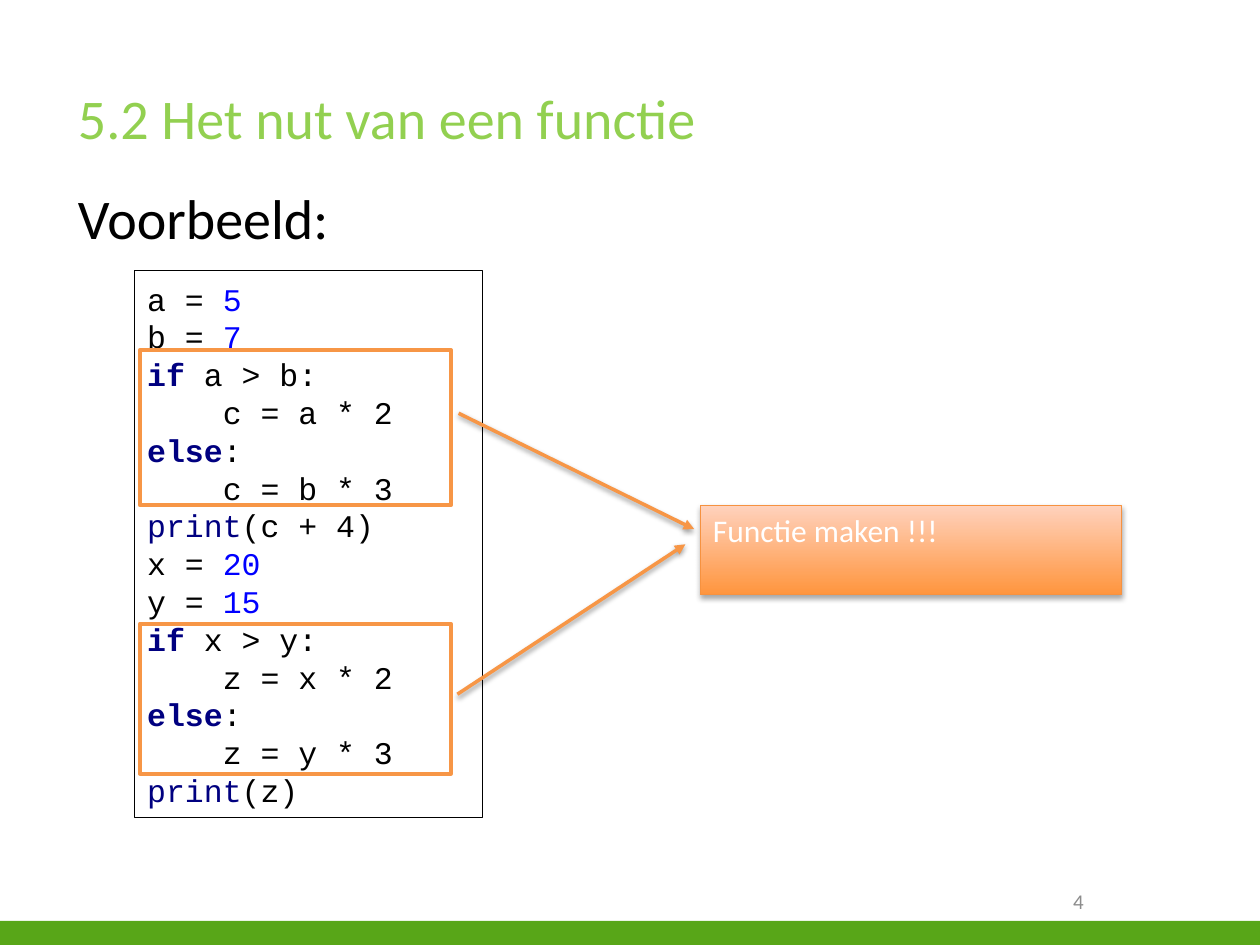
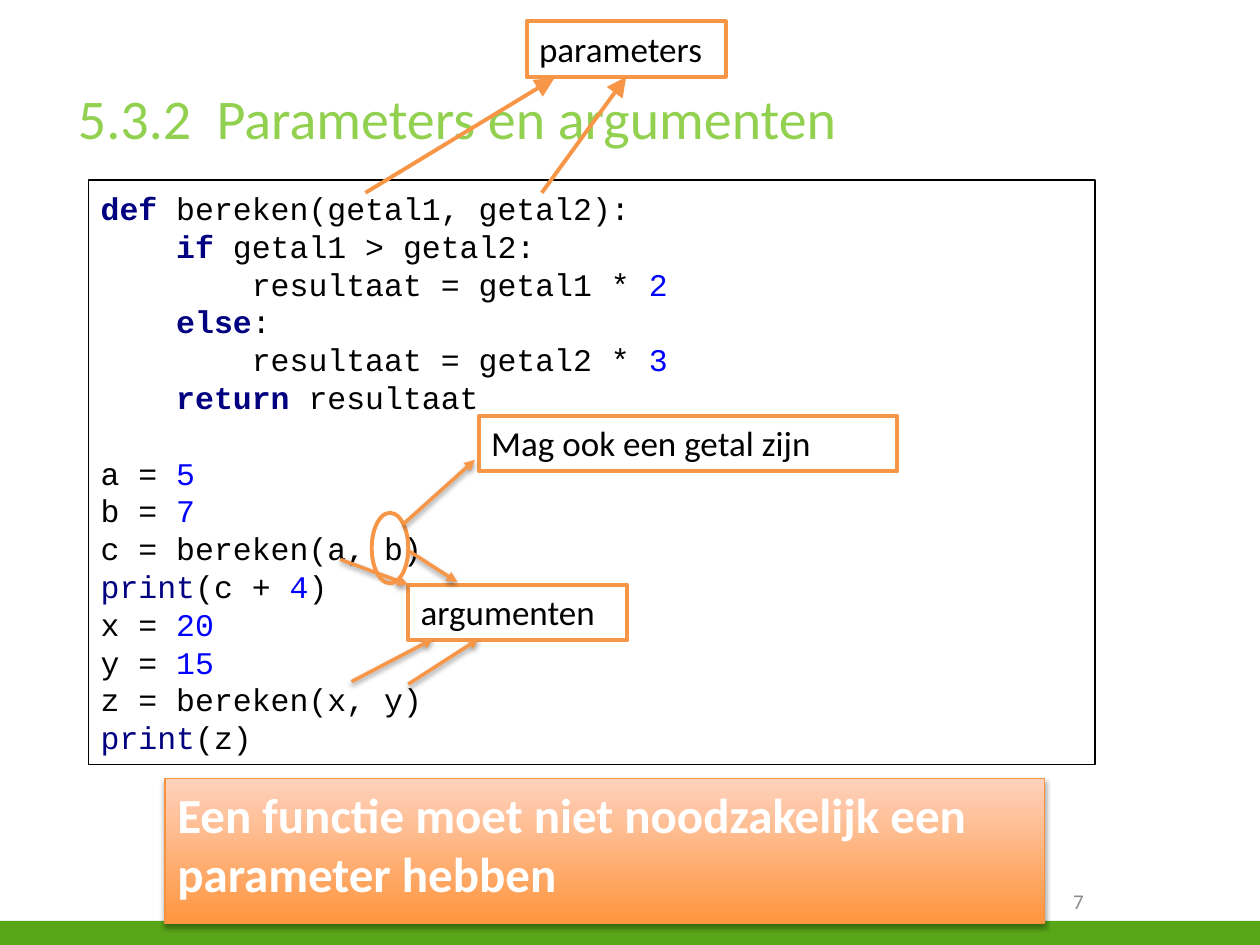
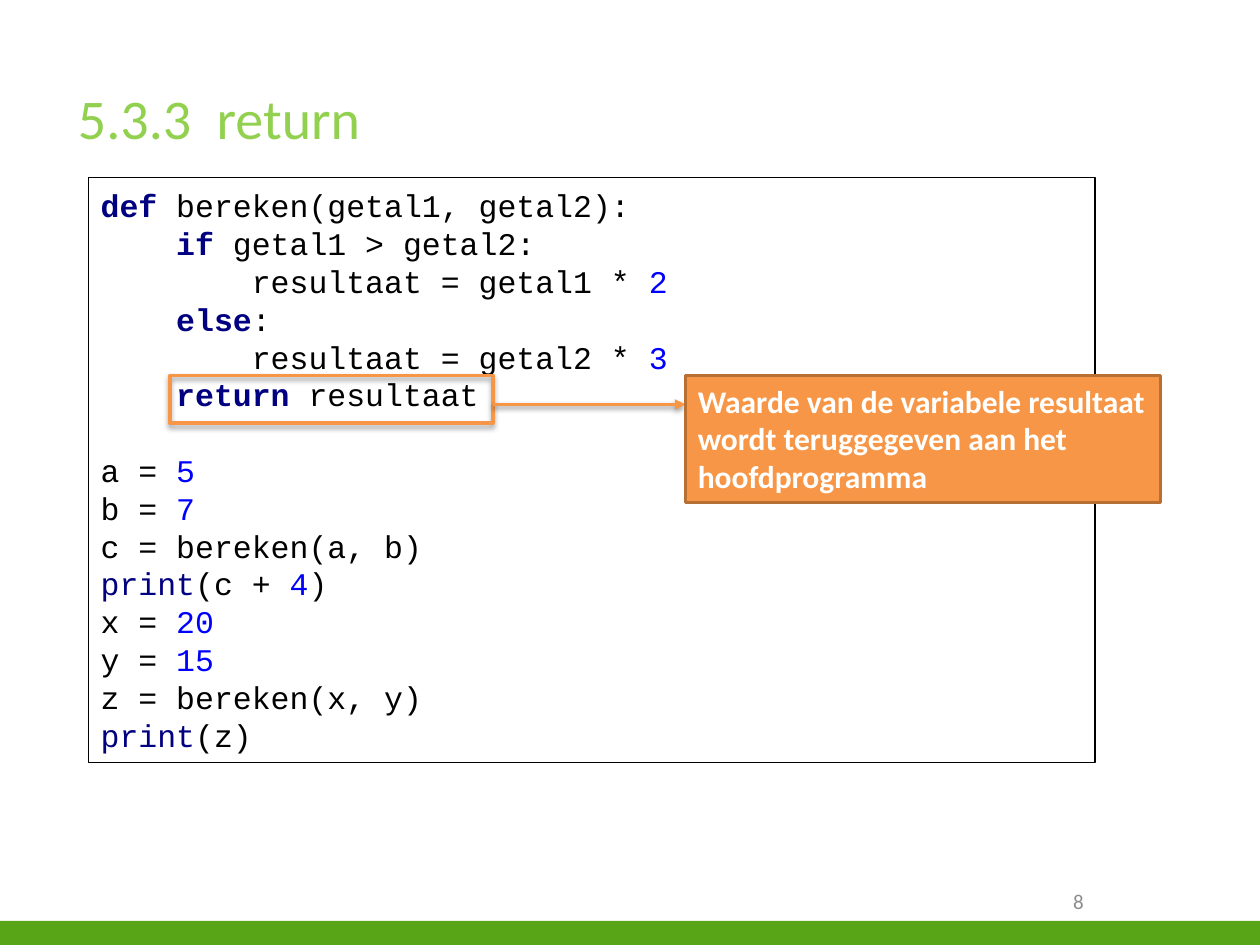
import dataclasses
import typing

import lxml.etree
import pptx
import pptx.dml.color
import pptx.enum.shapes
import pptx.enum.text
import pptx.oxml.ns
import pptx.util

Shapes = pptx.enum.shapes.MSO_SHAPE
Anchor = pptx.enum.text.MSO_ANCHOR
Align = pptx.enum.text.PP_ALIGN


@dataclasses.dataclass(frozen=True)
class Theme:
    sans: str = "Calibri"
    mono: str = "Courier New"
    black: str = "000000"
    white: str = "FFFFFF"
    band: str = "58A618"
    title: str = "92D050"
    page: str = "8C8C8C"
    accent: str = "F79646"
    accent_edge: str = "B76F34"
    banner_edge: str = "F69240"
    banner_stops: tuple[str, str] = ("FF953E", "FFD2BD")
    keyword: str = "000080"
    number: str = "0000FF"
    heading_size: float = 32
    banner_size: float = 28
    label_size: float = 20
    body_size: float = 18
    page_size: float = 12
    code_pitch: float = 21.6
    code_indent: float = 43.2
    thin: float = 0.75
    arrow: float = 2
    frame: float = 2.25


THEME = Theme()
COLUMNS, ROWS = 100, 75
WIDTH, HEIGHT = pptx.util.Inches(10), pptx.util.Inches(7.5)


class Box(typing.NamedTuple):
    """A place on the grid: left column, top row, columns wide, rows high."""
    col: float
    row: float
    cols: float
    rows: float


class Style(typing.NamedTuple):
    fill: str | tuple[str, str] | None = None
    edge: str | None = None
    weight: float = 0
    shadow: bool = False


class Font(typing.NamedTuple):
    size: float
    color: str = THEME.black
    bold: bool = False
    name: str = THEME.sans


class Arrow(typing.NamedTuple):
    """A line between two grid points; a bold one is flat with a large head."""
    col: float
    row: float
    end_col: float
    end_row: float
    bold: bool = False


BAND = Style(THEME.band)
CODE = Style(THEME.white, THEME.black, THEME.thin)
FRAME = Style(None, THEME.accent, THEME.frame)
RAISED_FRAME = FRAME._replace(shadow=True)
LABEL = FRAME._replace(fill=THEME.white)
BANNER = Style(THEME.banner_stops, THEME.banner_edge, THEME.thin, True)
NOTE = Style(THEME.accent, THEME.accent_edge, THEME.arrow)

HEADING_FONT = Font(THEME.heading_size, THEME.title)
BODY_FONT = Font(THEME.heading_size)
LABEL_FONT = Font(THEME.label_size)
PAGE_FONT = Font(THEME.page_size, THEME.page)
CODE_FONT = Font(THEME.body_size, name=THEME.mono)
CODE_MARKS = {
    "!": CODE_FONT._replace(color=THEME.keyword, bold=True),
    "@": CODE_FONT._replace(color=THEME.keyword),
    "#": CODE_FONT._replace(color=THEME.number),
}

# Runs are parted by "|"; a leading mark from CODE_MARKS gives the run its font.
REPEATED_CODE = """\
a = |#5
b = |#7
|!if| a > b:
    c = a * 2
|!else|:
    c = b * 3
|@print|(c + 4)
x = |#20
y = |#15
|!if| x > y:
    z = x * 2
|!else|:
    z = y * 3
|@print|(z)"""

FUNCTION_CODE = """\
|!def| bereken(getal1, getal2):
    |!if| getal1 > getal2:
        resultaat = getal1 * |#2
    |!else|:
        resultaat = getal2 * |#3
    |!return| resultaat

a = |#5
b = |#7
c = bereken(a, b)
|@print|(c + |#4|)
x = |#20
y = |#15
z = bereken(x, y)
|@print|(z)"""


def rgb(color: str) -> pptx.dml.color.RGBColor:
    return pptx.dml.color.RGBColor.from_string(color)


def x(col: float) -> int:
    return round(WIDTH * col / COLUMNS)


def y(row: float) -> int:
    return round(HEIGHT * row / ROWS)


def place(box: Box) -> tuple[int, int, int, int]:
    return x(box.col), y(box.row), x(box.cols), y(box.rows)


def add_effects(properties, shadow: bool, distance: float, opacity: int) -> None:
    """Set the effect list, empty or with a soft shadow straight below."""
    tag = pptx.oxml.ns.qn
    effects = properties.find(tag("a:effectLst"))
    if effects is None:
        effects = lxml.etree.SubElement(properties, tag("a:effectLst"))
    if shadow:
        outer = lxml.etree.SubElement(
            effects, tag("a:outerShdw"), blurRad=str(pptx.util.Pt(3.1)),
            dist=str(pptx.util.Pt(distance)), dir="5400000", rotWithShape="0")
        color = lxml.etree.SubElement(outer, tag("a:srgbClr"), val=THEME.black)
        lxml.etree.SubElement(color, tag("a:alpha"), val=str(opacity * 1000))


def add_box(slide, box: Box, style: Style, kind=Shapes.RECTANGLE):
    shape = slide.shapes.add_shape(kind, *place(box))
    if style.fill is None:
        shape.fill.background()
    elif isinstance(style.fill, tuple):
        shape.fill.gradient()
        shape.fill.gradient_angle = 90
        for stop, color in zip(shape.fill.gradient_stops, style.fill):
            stop.color.rgb = rgb(color)
    else:
        shape.fill.solid()
        shape.fill.fore_color.rgb = rgb(style.fill)
    if style.edge is None:
        shape.line.fill.background()
    else:
        shape.line.color.rgb = rgb(style.edge)
        shape.line.width = pptx.util.Pt(style.weight)
    shape.shadow.inherit = False
    add_effects(shape._element.spPr, style.shadow, 1.8, 35)
    return shape


def add_run(paragraph, text: str, font: Font) -> None:
    run = paragraph.add_run()
    run.text = text
    run.font.name = font.name
    run.font.size = pptx.util.Pt(font.size)
    run.font.bold = font.bold
    run.font.color.rgb = rgb(font.color)


def write(shape, text: str, font: Font, align=Align.LEFT, anchor=Anchor.TOP) -> None:
    frame = shape.text_frame
    frame.word_wrap = True
    frame.vertical_anchor = anchor
    frame.paragraphs[0].alignment = align
    add_run(frame.paragraphs[0], text, font)


def add_text(slide, box: Box, text: str, font: Font, align=Align.LEFT,
             anchor=Anchor.TOP) -> None:
    write(slide.shapes.add_textbox(*place(box)), text, font, align, anchor)


def add_callout(slide, box: Box, style: Style, text: str, font: Font) -> None:
    write(add_box(slide, box, style), text, font)


def add_code(slide, box: Box, code: str) -> None:
    """Write one paragraph per code line; an empty line becomes space before the next."""
    frame = add_box(slide, box, CODE).text_frame
    frame.word_wrap = True
    frame.vertical_anchor = Anchor.MIDDLE
    gap = 0.0
    paragraph = frame.paragraphs[0]
    for index, line in enumerate(code.split("\n")):
        if not line:
            gap += THEME.code_pitch
            continue
        if index:
            paragraph = frame.add_paragraph()
        source = line.lstrip(" ")
        level = (len(line) - len(source)) // 4
        paragraph.alignment = Align.LEFT
        paragraph.line_spacing = pptx.util.Pt(THEME.code_pitch)
        paragraph.space_before = pptx.util.Pt(gap)
        margin = pptx.util.Pt(level * THEME.code_indent)
        paragraph._p.get_or_add_pPr().set("marL", str(margin))
        gap = 0.0
        for part in filter(None, source.split("|")):
            font = CODE_MARKS.get(part[0])
            add_run(paragraph, part[1:] if font else part, font or CODE_FONT)


def add_arrow(slide, arrow: Arrow) -> None:
    line = slide.shapes.add_connector(
        pptx.enum.shapes.MSO_CONNECTOR.STRAIGHT,
        x(arrow.col), y(arrow.row), x(arrow.end_col), y(arrow.end_row))
    line.line.color.rgb = rgb(THEME.accent)
    line.line.width = pptx.util.Pt(THEME.frame if arrow.bold else THEME.arrow)
    size = "lg" if arrow.bold else "med"
    lxml.etree.SubElement(line.line._get_or_add_ln(), pptx.oxml.ns.qn("a:tailEnd"),
                          type="triangle", w=size, len=size)
    add_effects(line._element.spPr, not arrow.bold, 1.6, 38)


def add_page(deck, title: str, number: int):
    """Add a slide with the shared band, page number and title."""
    slide = deck.slides.add_slide(deck.slide_layouts[6])
    add_box(slide, Box(0, 73.1, COLUMNS, 2), BAND)
    add_text(slide, Box(71.7, 69.5, 15.3, 4), str(number), PAGE_FONT,
             Align.RIGHT, Anchor.MIDDLE)
    add_text(slide, Box(5.2, 6.1, 89.8, 16.1), title, HEADING_FONT)
    return slide


def build_usefulness(deck) -> None:
    slide = add_page(deck, "5.2 Het nut van een functie", 4)
    add_text(slide, Box(5.2, 14.1, 89.8, 50.3), "Voorbeeld:", BODY_FONT)
    add_code(slide, Box(10.7, 21.5, 27.6, 43.4), REPEATED_CODE)
    for row, rows in ((27.8, 12.3), (49.5, 11.9)):
        add_box(slide, Box(11.1, row, 24.7, rows), FRAME)
    for arrow in (Arrow(36.4, 32.8, 55.1, 42), Arrow(36.3, 55.1, 54.4, 43.2)):
        add_arrow(slide, arrow)
    add_callout(slide, Box(55.6, 40.1, 33.4, 7.1), BANNER, "Functie maken !!!",
                Font(THEME.body_size, THEME.white))


def build_parameters(deck) -> None:
    slide = add_page(deck, "5.3.2  Parameters en argumenten", 7)
    add_code(slide, Box(7, 14.3, 79.9, 46.4), FUNCTION_CODE)
    add_callout(slide, Box(41.8, 1.7, 15.8, 4.4), LABEL, "parameters", LABEL_FONT)
    for parameter in (Arrow(29, 15.3, 44, 6.2, True), Arrow(43, 15.3, 49.7, 6.1, True)):
        add_arrow(slide, parameter)
    add_callout(slide, Box(32.4, 46.4, 17.4, 4.4), LABEL, "argumenten", LABEL_FONT)
    for argument in (Arrow(27, 44.4, 32.4, 46.4), Arrow(32.4, 43.7, 36.3, 46.2),
                     Arrow(27.9, 54.1, 34.4, 50.7), Arrow(32.4, 54.3, 38, 50.7)):
        add_arrow(slide, argument)
    add_box(slide, Box(29.5, 40.7, 2.9, 5.6), FRAME, Shapes.OVAL)
    add_callout(slide, Box(38, 33, 33.2, 4.4), LABEL, "Mag ook een getal zijn",
                LABEL_FONT)
    add_arrow(slide, Arrow(32, 41.6, 37.7, 36.5))
    add_callout(slide, Box(13.1, 61.8, 69.8, 11.5), BANNER,
                "Een functie moet niet noodzakelijk een parameter hebben",
                Font(THEME.banner_size, THEME.white, True))


def build_return(deck) -> None:
    slide = add_page(deck, "5.3.3  return", 8)
    add_code(slide, Box(7, 14.1, 79.9, 46.4), FUNCTION_CODE)
    add_box(slide, Box(13.5, 29.8, 25.6, 3.8), RAISED_FRAME)
    add_arrow(slide, Arrow(39.1, 32.1, 54.4, 32.1))
    add_callout(slide, Box(54.4, 29.8, 37.7, 10.1), NOTE,
                "Waarde van de variabele resultaat wordt teruggegeven "
                "aan het hoofdprogramma",
                Font(THEME.body_size, THEME.white, True))


def main() -> None:
    deck = pptx.Presentation()
    deck.slide_width, deck.slide_height = WIDTH, HEIGHT
    build_usefulness(deck)
    build_parameters(deck)
    build_return(deck)
    deck.save("out.pptx")


if __name__ == "__main__":
    main()
